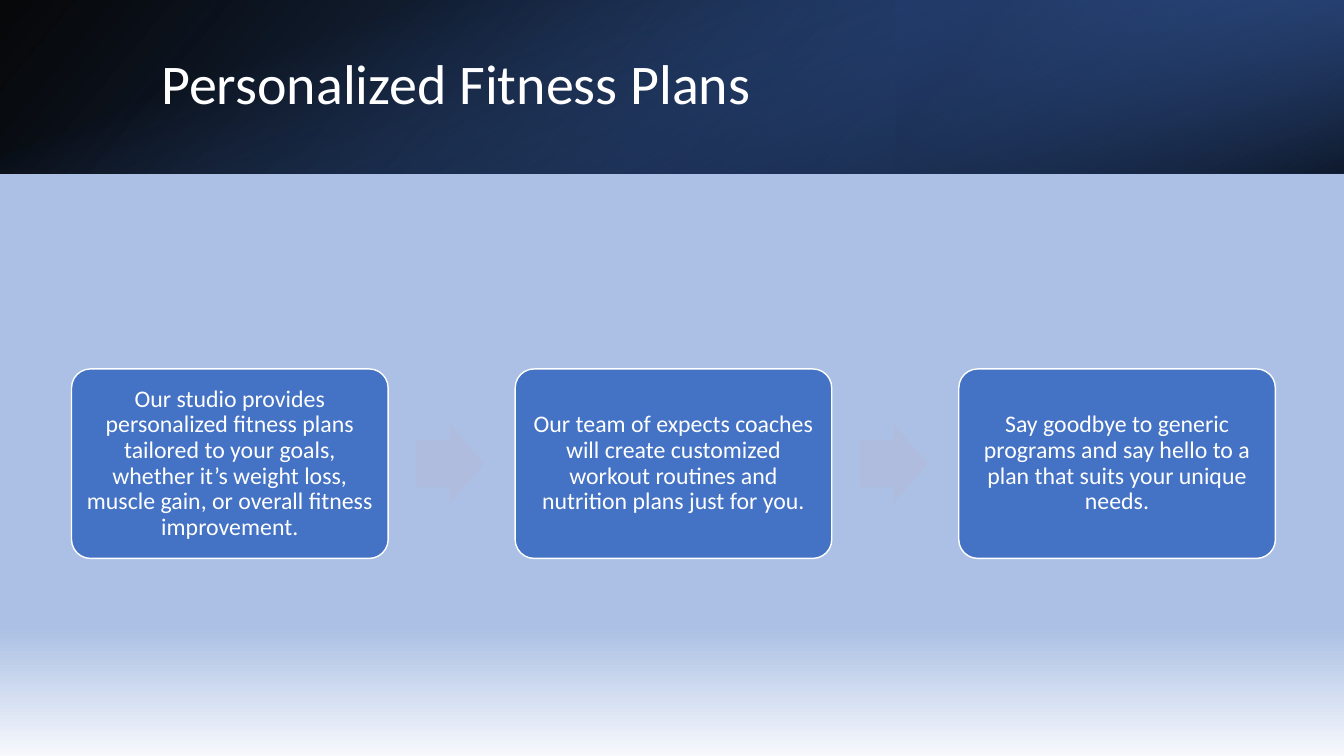
import pptx
import pptx.util
import pptx.oxml
import pptx.oxml.ns
from pptx.dml.color import RGBColor
from pptx.enum.shapes import MSO_SHAPE
from pptx.enum.text import MSO_ANCHOR, PP_ALIGN

TITLE = "Personalized Fitness Plans"
STEPS = [
    "Our studio provides personalized fitness plans tailored to your goals, "
    "whether it’s weight loss, muscle gain, or overall fitness improvement.",
    "Our team of expects coaches will create customized workout routines and "
    "nutrition plans just for you.",
    "Say goodbye to generic programs and say hello to a plan that suits your unique needs.",
]

WHITE = RGBColor(0xFF, 0xFF, 0xFF)
BLACK = RGBColor(0x00, 0x00, 0x00)
BLUE = RGBColor(0x44, 0x72, 0xC4)
DEEP_BLUE = RGBColor(0x2F, 0x55, 0x97)
NAVY = RGBColor(0x20, 0x38, 0x64)
ARROW = RGBColor(0xB0, 0xBC, 0xDE)
SKY = RGBColor(0xAB, 0xC0, 0xE4)
MIST = RGBColor(0xF6, 0xF8, 0xFC)
FONT = "Calibri"

W, H = 13.33, 7.5
BAND_H = 1.72
BACKDROP = [(74, SKY, 100), (83, SKY, 100), (100, MIST, 100)]
BAND_LAYERS = [
    ((0, 0, W, BAND_H), 0, True, 140, [(0, BLACK, 96), (100, DEEP_BLUE, 100)]),
    ((W * 2 / 3, 0, W / 3, BAND_H), 180, True, 320, [(19, NAVY, 68), (100, BLUE, 79)]),
    (((W - BAND_H) / 2, (BAND_H - W) / 2, BAND_H, W), 90, False, 340,
     [(23, BLUE, 0), (99, BLACK, 74)]),
]

LEFT, PITCH, MID_Y = 0.71, 4.4, 4.6
BOX_W, BOX_H = 3.14, 1.88
ARROW_W, ARROW_H, ARROW_GAP = 0.67, 0.78, 0.28


def set_gradient(fill, props, stops, angle):
    fill.solid()
    stop_xml = "".join(
        f'<a:gs pos="{pos * 1000}"><a:srgbClr val="{color}">'
        f'<a:alpha val="{alpha * 1000}"/></a:srgbClr></a:gs>'
        for pos, color, alpha in stops)
    grad = pptx.oxml.parse_xml(
        f'<a:gradFill {pptx.oxml.ns.nsdecls("a")} rotWithShape="1"><a:gsLst>{stop_xml}</a:gsLst>'
        f'<a:lin ang="{angle * 60000}" scaled="0"/></a:gradFill>')
    props.replace(props.find(pptx.oxml.ns.qn("a:solidFill")), grad)


def add_shape(s, kind, box, color=None):
    sp = s.shapes.add_shape(kind, *(pptx.util.Inches(v) for v in box))
    sp.shadow.inherit = False
    sp.line.fill.background()
    if color is not None:
        sp.fill.solid()
        sp.fill.fore_color.rgb = color
    return sp


def write(tf, text, size, align):
    tf.text = text
    tf.word_wrap = True
    tf.vertical_anchor = MSO_ANCHOR.MIDDLE
    p = tf.paragraphs[0]
    p.alignment = align
    p.line_spacing = 0.9
    font = p.runs[0].font
    font.name, font.size, font.color.rgb = FONT, pptx.util.Pt(size), WHITE


def main():
    prs = pptx.Presentation()
    prs.slide_width, prs.slide_height = pptx.util.Inches(W), pptx.util.Inches(H)
    s = prs.slides.add_slide(prs.slide_layouts[5])
    fill = s.background.fill
    fill.solid()
    set_gradient(fill, s.background._cSld.bg.bgPr, BACKDROP, 90)

    for box, rotation, flipped, angle, stops in BAND_LAYERS:
        sp = add_shape(s, MSO_SHAPE.RECTANGLE, box)
        sp.rotation = rotation
        if flipped:
            sp._element.spPr.xfrm.set("flipH", "1")
        set_gradient(sp.fill, sp._element.spPr, stops, angle)

    title = s.shapes.title
    title.left, title.top, title.width, title.height = (
        pptx.util.Inches(v) for v in (1.5, 0.38, 10.98, 0.96))
    write(title.text_frame, TITLE, 40, PP_ALIGN.LEFT)
    s.shapes._spTree.append(title._element)

    for i, text in enumerate(STEPS):
        x = LEFT + i * PITCH
        sp = add_shape(s, MSO_SHAPE.ROUNDED_RECTANGLE,
                       (x, MID_Y - BOX_H / 2, BOX_W, BOX_H), BLUE)
        sp.adjustments[0] = 0.1
        sp.line.color.rgb = WHITE
        sp.line.width = pptx.util.Pt(1)
        tf = sp.text_frame
        tf.margin_left = tf.margin_right = pptx.util.Inches(0.07)
        tf.margin_top = tf.margin_bottom = pptx.util.Inches(0.07)
        write(tf, text, 17, PP_ALIGN.CENTER)
        if i < len(STEPS) - 1:
            arrow = add_shape(s, MSO_SHAPE.RIGHT_ARROW,
                              (x + BOX_W + ARROW_GAP, MID_Y - ARROW_H / 2, ARROW_W, ARROW_H), ARROW)
            arrow.adjustments[0] = 0.6
            arrow.adjustments[1] = 0.5

    prs.save("out.pptx")


if __name__ == "__main__":
    main()
